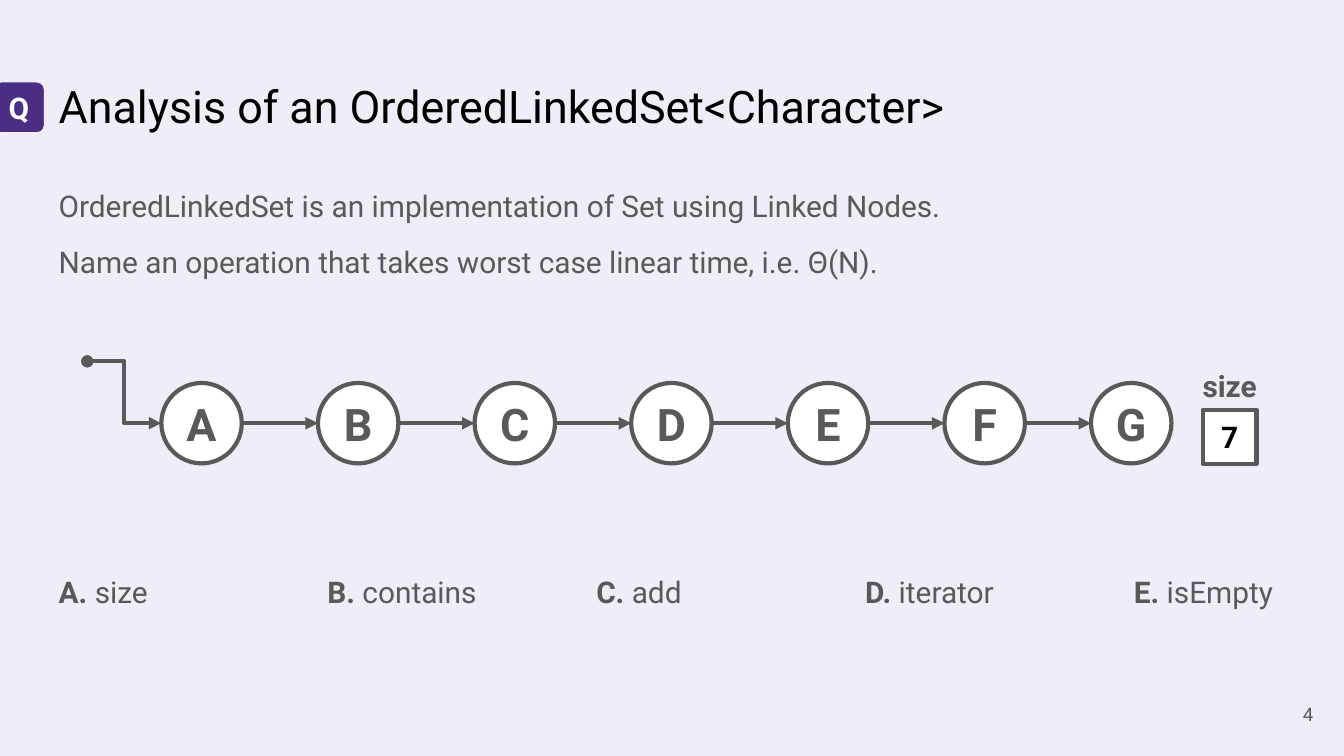
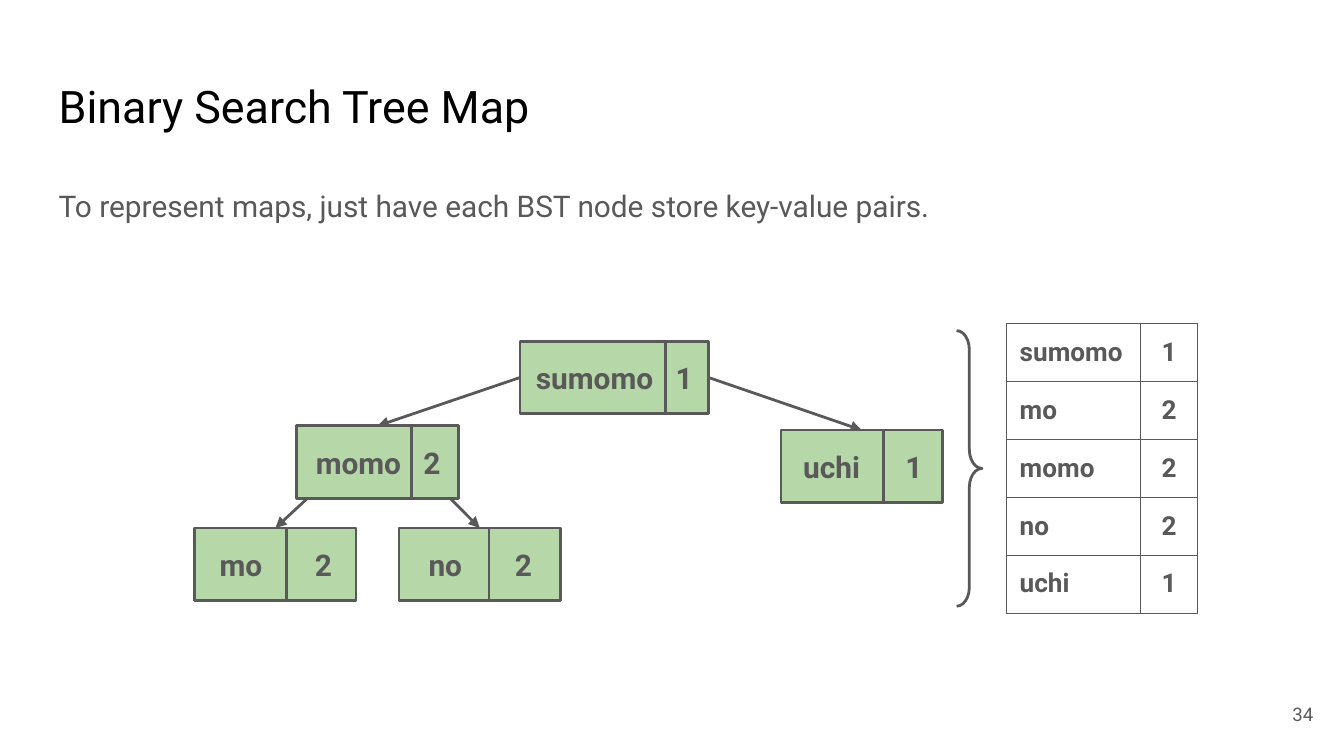
from dataclasses import dataclass
from lxml.etree import SubElement
from pptx import Presentation
from pptx.dml.color import RGBColor as RGB
from pptx.enum.shapes import MSO_CONNECTOR as LINK, MSO_SHAPE as SHAPE
from pptx.enum.text import MSO_ANCHOR as ANCHOR, PP_ALIGN as ALIGN
from pptx.oxml.ns import qn
from pptx.util import Cm, Pt


@dataclass(frozen=True)
class Theme:
    font: str = "Roboto"
    ink: str = "595959"
    black: str = "000000"
    white: str = "FFFFFF"
    lavender: str = "F0ECF8"
    purple: str = "4B2E83"
    green: str = "B6D7A8"
    title: int = 24
    body: int = 16
    cell: int = 14
    footer: int = 10
    thick: float = 2.25
    thin: float = 1.5
    border: float = 0.75
    inset: float = 0.25
    spacing: float = 1.15
    gap: int = 8


@dataclass(frozen=True)
class TreeNode:
    key: str
    value: str
    left: float
    top: float
    width: float
    divider: float
    key_inset: float
    value_tab: float

    @property
    def top_middle(self):
        return self.left + self.width / 2, self.top


THEME = Theme()
LEFT, CONTENT_WIDTH = 0.86, 23.67
NODE_HEIGHT = 1.37


def rgb(color):
    return RGB.from_string(color)


def add_run(paragraph, text, size, color=THEME.ink, bold=False):
    run = paragraph.add_run()
    run.text = text
    font = run.font
    font.name, font.size, font.bold = THEME.font, Pt(size), bold
    font.color.rgb = rgb(color)


def add_tabs(paragraph, stops):
    tab_list = SubElement(paragraph._p.get_or_add_pPr(), qn("a:tabLst"))
    for stop in stops:
        SubElement(tab_list, qn("a:tab"), pos=str(Cm(stop)), algn="l")


def prepare_frame(frame, anchor, left_inset=THEME.inset):
    frame.word_wrap = True
    frame.vertical_anchor = anchor
    frame.margin_left = Cm(left_inset)
    frame.margin_right = frame.margin_top = frame.margin_bottom = Cm(THEME.inset)
    return frame.paragraphs[0]


def add_text_box(slide, left, top, width, height, anchor=ANCHOR.TOP):
    box = slide.shapes.add_textbox(Cm(left), Cm(top), Cm(width), Cm(height))
    return box.text_frame, prepare_frame(box.text_frame, anchor)


def add_figure(slide, kind, left, top, width, height, fill, line, weight):
    figure = slide.shapes.add_shape(kind, Cm(left), Cm(top), Cm(width), Cm(height))
    figure.shadow.inherit = False
    if fill:
        figure.fill.solid()
        figure.fill.fore_color.rgb = rgb(fill)
    else:
        figure.fill.background()
    figure.line.color.rgb = rgb(line)
    figure.line.width = Pt(weight)
    return figure


def add_label(figure, text, size, color=THEME.ink):
    paragraph = prepare_frame(figure.text_frame, ANCHOR.MIDDLE)
    paragraph.alignment = ALIGN.CENTER
    add_run(paragraph, text, size, color, True)


def add_line(slide, start, end, weight, kind=LINK.STRAIGHT, head=None, tail=None):
    link = slide.shapes.add_connector(kind, *(Cm(value) for value in (*start, *end)))
    link.line.color.rgb = rgb(THEME.ink)
    link.line.width = Pt(weight)
    outline = link.line._get_or_add_ln()
    for tag, tip in (("a:headEnd", head), ("a:tailEnd", tail)):
        if tip:
            SubElement(outline, qn(tag), type=tip)
    SubElement(link._element.spPr, qn("a:effectLst"))
    return link


def add_slide(deck, background, title, number):
    slide = deck.slides.add_slide(deck.slide_layouts[6])
    slide.background.fill.solid()
    slide.background.fill.fore_color.rgb = rgb(background)
    _, heading = add_text_box(slide, LEFT, 1.24, CONTENT_WIDTH, 1.6)
    add_run(heading, title, THEME.title, THEME.black)
    _, footer = add_text_box(slide, 23.55, 12.95, 1.52, 1.09, ANCHOR.MIDDLE)
    footer.alignment = ALIGN.RIGHT
    add_run(footer, number, THEME.footer)
    return slide


def add_body(slide, sentences):
    frame, paragraph = add_text_box(slide, LEFT, 3.2, CONTENT_WIDTH, 1.14 * len(sentences))
    for index, sentence in enumerate(sentences):
        if index:
            paragraph = frame.add_paragraph()
            paragraph.space_before = Pt(THEME.gap)
        paragraph.line_spacing = THEME.spacing
        add_run(paragraph, sentence, THEME.body)
    paragraph.space_after = Pt(THEME.gap)


def add_question_badge(slide):
    badge = add_figure(slide, SHAPE.ROUNDED_RECTANGLE, -0.15, 1.52, 1.02, 1.02,
                       THEME.purple, THEME.lavender, THEME.thick)
    add_label(badge, "Q", THEME.body, THEME.white)


def add_choices(slide, choices):
    _, paragraph = add_text_box(slide, LEFT, 10.49, CONTENT_WIDTH, 1.14)
    paragraph.line_spacing = THEME.spacing
    paragraph.space_after = Pt(THEME.gap)
    add_tabs(paragraph, [5.08 * column for column in range(1, len(choices))])
    for index, choice in enumerate(choices):
        add_run(paragraph, "ABCDE"[index] + ".", THEME.body, bold=True)
        ending = "\t" if index < len(choices) - 1 else ""
        add_run(paragraph, f" {choice}{ending}", THEME.body)


def add_linked_list(slide):
    diameter, top = 1.52, 7.24
    middle = top + diameter / 2
    lefts = [3.05 + 2.96 * index for index in range(6)] + [20.62]
    for letter, left in zip("ABCDEFG", lefts):
        circle = add_figure(slide, SHAPE.OVAL, left, top, diameter, diameter,
                            THEME.white, THEME.ink, THEME.thick)
        add_label(circle, letter, THEME.title)
    for left, following in zip(lefts, lefts[1:]):
        add_line(slide, (left + diameter, middle), (following, middle),
                 THEME.thick, tail="triangle")
    add_line(slide, (1.65, 6.83), (lefts[0], middle), THEME.thick,
             LINK.ELBOW, head="oval", tail="triangle")


def add_size_field(slide):
    field = add_figure(slide, SHAPE.RECTANGLE, 22.73, 7.75, 1.02, 1.02,
                       THEME.white, THEME.ink, THEME.thick)
    add_label(field, "7", THEME.body, THEME.black)
    _, caption = add_text_box(slide, 22.35, 6.6, 1.78, 1.14)
    caption.alignment = ALIGN.CENTER
    caption.line_spacing = THEME.spacing
    caption.space_after = Pt(THEME.gap)
    add_run(caption, "size", THEME.body, bold=True)


def add_tree_node(slide, node):
    pair = add_figure(slide, SHAPE.RECTANGLE, node.left, node.top, node.width, NODE_HEIGHT,
                      THEME.green, THEME.ink, THEME.thin)
    paragraph = prepare_frame(pair.text_frame, ANCHOR.MIDDLE, node.key_inset)
    pair.text_frame.margin_right = 0
    paragraph.alignment = ALIGN.LEFT
    add_tabs(paragraph, [node.value_tab])
    add_run(paragraph, f"{node.key}\t{node.value}", THEME.body, bold=True)
    divider = node.left + node.divider
    add_line(slide, (divider, node.top), (divider, node.top + NODE_HEIGHT), THEME.thin)
    return pair


def add_tree(slide):
    nodes = {node.key: node for node in (
        TreeNode("sumomo", "1", 9.83, 6.45, 3.56, 2.74, 0.3, 2.64),
        TreeNode("momo", "2", 5.61, 8.05, 3.05, 2.16, 0.36, 2.03),
        TreeNode("mo", "2", 3.68, 9.98, 3.05, 1.73, 0.47, 1.8),
        TreeNode("no", "2", 7.54, 9.98, 3.05, 1.7, 0.56, 1.63),
        TreeNode("uchi", "1", 14.76, 8.13, 3.05, 1.93, 0.42, 1.93),
    )}
    edges = (
        ("momo", "mo", (6.22, 9.04), None),
        ("momo", "no", (8.28, 9.19), None),
        ("sumomo", "momo", (9.83, 7.14), 1),
        ("sumomo", "uchi", (13.39, 7.14), 3),
    )
    arrows = [add_line(slide, start, nodes[child].top_middle, THEME.thin, tail="triangle")
              for _, child, start, _ in edges]
    pairs = {key: add_tree_node(slide, node) for key, node in nodes.items()}
    for arrow, (parent, child, _, side) in zip(arrows, edges):
        if side is not None:
            arrow.begin_connect(pairs[parent], side)
        arrow.end_connect(pairs[child], 0)


def add_cell_borders(cell):
    properties = cell._tc.get_or_add_tcPr()
    for index, side in enumerate(("a:lnL", "a:lnR", "a:lnT", "a:lnB")):
        border = properties.makeelement(qn(side), {"w": str(Pt(THEME.border))})
        fill = SubElement(border, qn("a:solidFill"))
        SubElement(fill, qn("a:srgbClr"), val=THEME.ink)
        properties.insert(index, border)


def add_map_column(slide, entries, left, width, alignment):
    row_height = 1.07
    table = slide.shapes.add_table(len(entries), 1, Cm(left), Cm(6.12), Cm(width),
                                   Cm(row_height * len(entries))).table
    table.first_row = table.horz_banding = False
    table.columns[0].width = Cm(width)
    for row, entry in enumerate(entries):
        table.rows[row].height = Cm(row_height)
        cell = table.cell(row, 0)
        cell.fill.background()
        cell.margin_left = cell.margin_right = Cm(THEME.inset)
        cell.margin_top = cell.margin_bottom = Cm(THEME.inset)
        paragraph = cell.text_frame.paragraphs[0]
        paragraph.alignment = alignment
        add_run(paragraph, entry, THEME.cell, bold=True)
        add_cell_borders(cell)


def add_brace(slide):
    brace = add_figure(slide, SHAPE.RIGHT_BRACE, 18.08, 6.25, 0.48, 5.21,
                       None, THEME.ink, THEME.thin)
    brace.adjustments[0] = 0.75


def build_set_slide(deck):
    slide = add_slide(deck, THEME.lavender, "Analysis of an OrderedLinkedSet<Character>", "4")
    add_body(slide, ["OrderedLinkedSet is an implementation of Set using Linked Nodes.",
                     "Name an operation that takes worst case linear time, i.e. Θ(N)."])
    add_question_badge(slide)
    add_choices(slide, ["size", "contains", "add", "iterator", "isEmpty"])
    add_linked_list(slide)
    add_size_field(slide)


def build_map_slide(deck):
    slide = add_slide(deck, THEME.white, "Binary Search Tree Map", "34")
    add_body(slide, ["To represent maps, just have each BST node store key-value pairs."])
    add_tree(slide)
    add_map_column(slide, ["sumomo", "mo", "momo", "no", "uchi"], 19.02, 2.54, ALIGN.LEFT)
    add_brace(slide)
    add_map_column(slide, ["1", "2", "2", "2", "1"], 21.56, 1.07, ALIGN.CENTER)


def main():
    deck = Presentation()
    deck.slide_width, deck.slide_height = Cm(25.4), Cm(14.29)
    build_set_slide(deck)
    build_map_slide(deck)
    deck.save("out.pptx")


if __name__ == "__main__":
    main()
